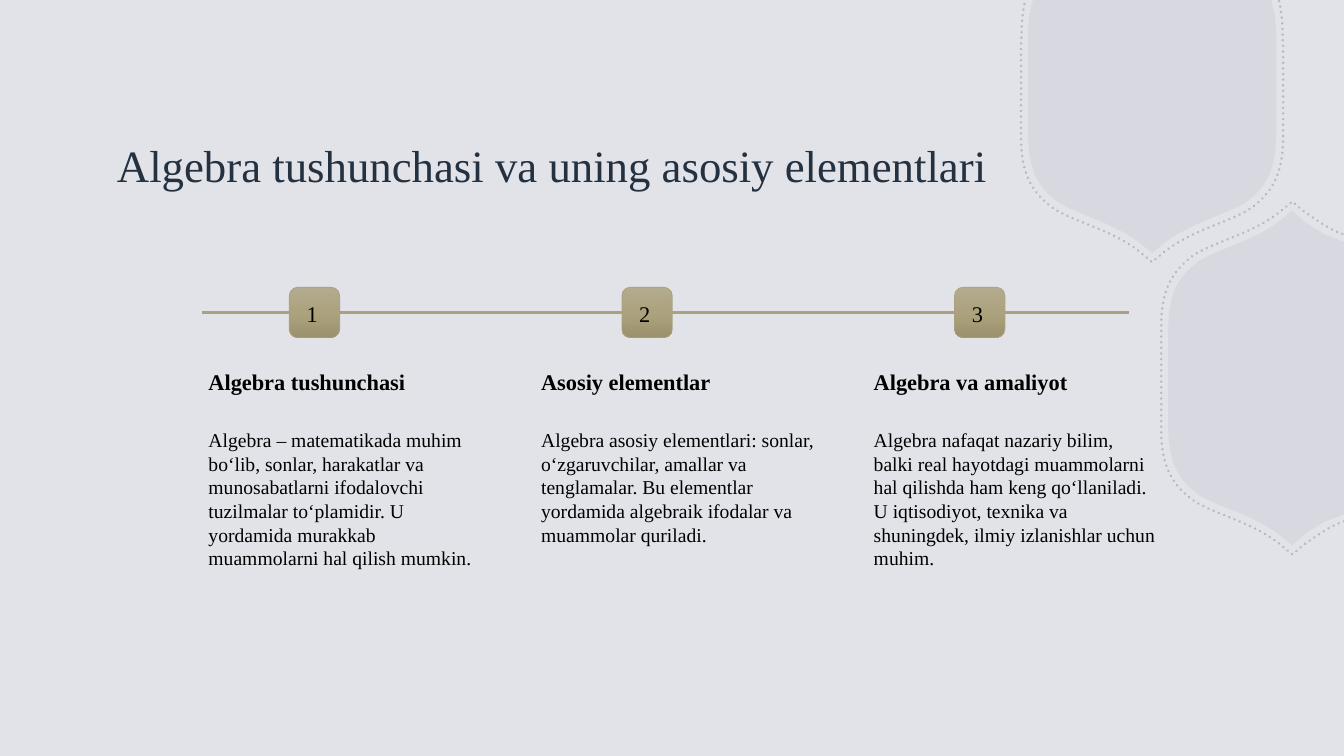
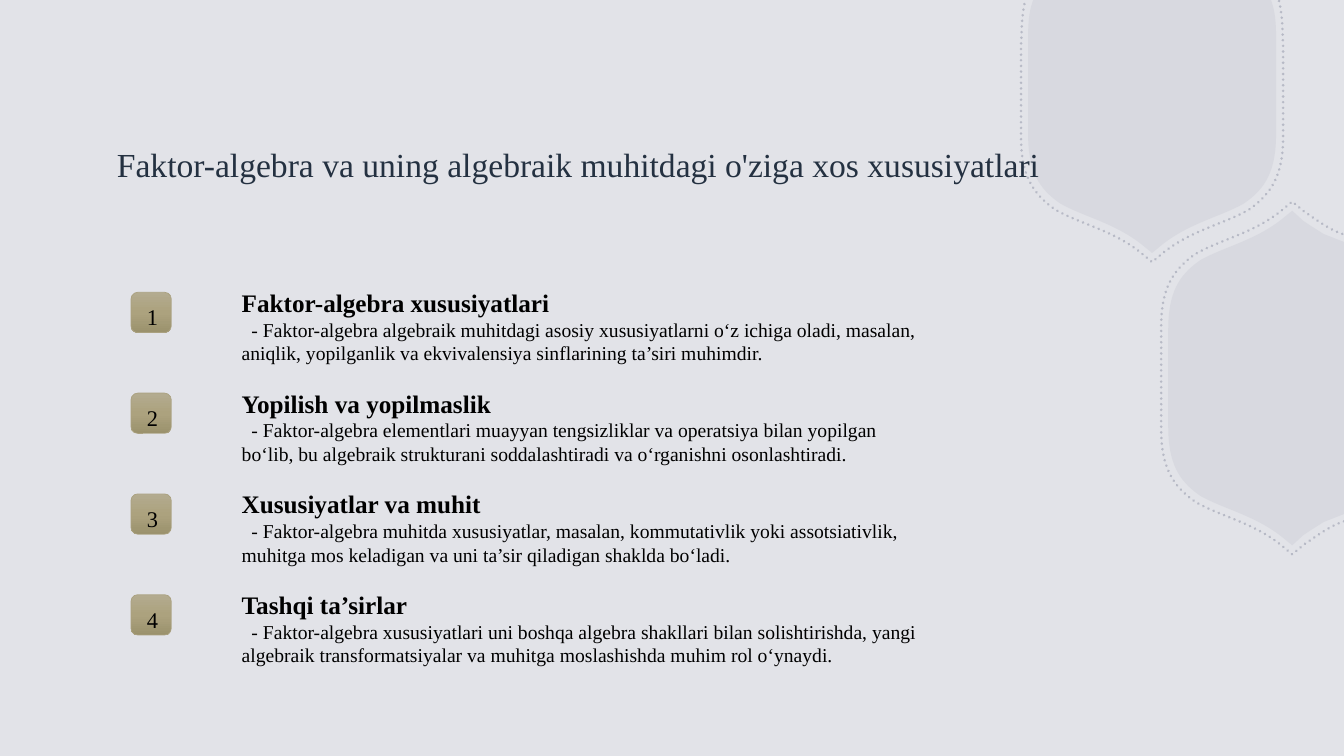
"""Build two algebra slides: a three-step timeline and a numbered list of four properties."""
from lxml.etree import SubElement
from pptx import Presentation
from pptx.dml.color import RGBColor
from pptx.enum.dml import MSO_LINE
from pptx.enum.shapes import MSO_CONNECTOR, MSO_SHAPE
from pptx.enum.text import MSO_ANCHOR, MSO_AUTO_SIZE, PP_ALIGN
from pptx.oxml.ns import qn
from pptx.util import Pt

PX = 3048
WIDTH, HEIGHT = 4000, 2250
FONT = "Times New Roman"
COLORS = {
    "background": "E2E3E8",
    "ornament": "A2A5B5",
    "title": "243141",
    "text": "000000",
    "rule": "AAA180",
}
TILE_STOPS = {0: "B3AB8F", 50: "ACA27E", 100: "9B926D"}


def write(frame, text, size, color="text", bold=False, indent=0):
    paragraph = frame.paragraphs[0]
    paragraph.text = text
    paragraph.alignment = PP_ALIGN.LEFT
    if indent:
        paragraph._p.get_or_add_pPr().set("indent", str(indent * PX))
    font = paragraph.runs[0].font
    for name, value in {"name": FONT, "size": Pt(size), "bold": bold}.items():
        setattr(font, name, value)
    font.color.rgb = RGBColor.from_string(COLORS[color])


def add_label(slide, text, box, size, bold=False, indent=0):
    frame = slide.shapes.add_textbox(*(value * PX for value in box)).text_frame
    for name, value in {"word_wrap": True, "auto_size": MSO_AUTO_SIZE.SHAPE_TO_FIT_TEXT}.items():
        setattr(frame, name, value)
    write(frame, text, size, bold=bold, indent=indent)


deck = Presentation()
deck.slide_width, deck.slide_height = WIDTH * PX, HEIGHT * PX
layout = deck.slide_layouts[5]
layout.background.fill.solid()
layout.background.fill.fore_color.rgb = RGBColor.from_string(COLORS["background"])
title_area, *footers = layout.placeholders
for footer in footers:
    layout.shapes.element.remove(footer.element)
for name, value in {"left": 318, "top": 315, "width": 2979, "height": 348}.items():
    setattr(title_area, name, value * PX)
title_area.text_frame.vertical_anchor = MSO_ANCHOR.MIDDLE

timeline_slide = deck.slides.add_slide(layout)
list_slide = deck.slides.add_slide(layout)
titles = [
    (timeline_slide, "Algebra tushunchasi va uning asosiy elementlari", 32),
    (list_slide, "Faktor-algebra va uning algebraik muhitdagi o'ziga xos xususiyatlari", 24),
]
for slide, text, size in titles:
    write(slide.shapes.title.text_frame, text, size, "title")

panel_quarter = [(369, 144), (369, 252), (339, 306), (273, 351),
                 (204, 390), (114, 408), (33, 471), (0, 498)]
outline_quarter = [(390, 153), (390, 264), (357, 321), (288, 369),
                   (216, 411), (120, 429), (36, 495), (0, 525)]
upper_center, lower_center = (3429, 255), (3846, 1125)
ornaments = [
    (upper_center, panel_quarter, "LC",
     [(354, -255), (357, -246), (366, -219), (369, -186), (369, -147)]),
    (lower_center, panel_quarter, "LC",
     [(154, 405), (93, 429), (75, 441), (54, 453), (33, 468)]),
    (upper_center, outline_quarter, "C",
     [(378, -252), (390, -198), (387, -165), (390, -123)]),
    (lower_center, outline_quarter, "C",
     [(154, 427), (108, 441), (60, 480), (36, 495)]),
]
for ornament_id, (center, quarter, edge_kinds, edge) in enumerate(ornaments, 20):
    is_panel = quarter is panel_quarter
    if center == upper_center:
        half, kinds, flip = edge + quarter, edge_kinds + "LCCL", (-1, 1)
    else:
        turned = [(-x, y) for x, y in reversed(quarter)]
        half, kinds, flip = edge + turned, edge_kinds + "LLCC", (1, -1)
    reflected = [(x * flip[0], y * flip[1]) for x, y in reversed(half)]
    meets = half[-1] == reflected[0]
    points = [(center[0] + x, center[1] + y) for x, y in half + reflected[meets:]]
    kinds += ("" if meets else "L") + kinds[::-1]

    builder = timeline_slide.shapes.build_freeform(*points[0], scale=PX)
    builder.add_line_segments(points[1:], close=is_panel)
    ornament = builder.convert_to_shape()
    ornament.shadow.inherit = False
    segments = iter(ornament.element.spPr.findall(".//" + qn("a:lnTo")))
    for kind in kinds:
        segment = next(segments)
        if kind == "C":
            track = segment.getparent()
            curve = SubElement(track, qn("a:cubicBezTo"))
            segment.addprevious(curve)
            for corner in (segment, next(segments), next(segments)):
                curve.append(corner[0])
                track.remove(corner)

    if is_panel:
        ornament.line.fill.background()
        paint, opacity = ornament.fill, 15
    else:
        ornament.fill.background()
        ornament.line.width = Pt(2)
        paint, opacity = ornament.line.fill, 65
    paint.solid()
    paint.fore_color.rgb = RGBColor.from_string(COLORS["ornament"])
    if not is_panel:
        ornament.line.dash_style = MSO_LINE.ROUND_DOT
        ornament.element.spPr.find(qn("a:ln")).set("cap", "rnd")
    tint = ornament.element.spPr.find(".//" + qn("a:srgbClr"))
    SubElement(tint, qn("a:alpha"), val=str(opacity * 1000))
    ornament.element.nvSpPr.cNvPr.set("id", str(ornament_id))
    layout.shapes.element.append(ornament.element)

axis_line = timeline_slide.shapes.add_connector(
    MSO_CONNECTOR.STRAIGHT, 600 * PX, 930 * PX, 3360 * PX, 930 * PX)
axis_line.line.color.rgb = RGBColor.from_string(COLORS["rule"])
axis_line.line.width = Pt(2)
SubElement(axis_line.element.spPr, qn("a:effectLst"))

steps = [
    ("Algebra tushunchasi", "Algebra – matematikada muhim bo‘lib, sonlar, harakatlar va munosabatlarni ifodalovchi tuzilmalar to‘plamidir. U yordamida murakkab muammolarni hal qilish mumkin."),
    ("Asosiy elementlar", "Algebra asosiy elementlari: sonlar, o‘zgaruvchilar, amallar va tenglamalar. Bu elementlar yordamida algebraik ifodalar va muammolar quriladi."),
    ("Algebra va amaliyot", "Algebra nafaqat nazariy bilim, balki real hayotdagi muammolarni hal qilishda ham keng qo‘llaniladi. U iqtisodiyot, texnika va shuningdek, ilmiy izlanishlar uchun muhim."),
]
properties = [
    ("Faktor-algebra xususiyatlari", "- Faktor-algebra algebraik muhitdagi asosiy xususiyatlarni o‘z ichiga oladi, masalan, aniqlik, yopilganlik va ekvivalensiya sinflarining ta’siri muhimdir."),
    ("Yopilish va yopilmaslik", "- Faktor-algebra elementlari muayyan tengsizliklar va operatsiya bilan yopilgan bo‘lib, bu algebraik strukturani soddalashtiradi va o‘rganishni osonlashtiradi."),
    ("Xususiyatlar va muhit", "- Faktor-algebra muhitda xususiyatlar, masalan, kommutativlik yoki assotsiativlik, muhitga mos keladigan va uni ta’sir qiladigan shaklda bo‘ladi."),
    ("Tashqi ta’sirlar", "- Faktor-algebra xususiyatlari uni boshqa algebra shakllari bilan solishtirishda, yangi algebraik transformatsiyalar va muhitga moslashishda muhim rol o‘ynaydi."),
]

entries = []
for index, texts in enumerate(steps):
    left = 591 + index * 990
    entries.append((timeline_slide, index + 1, texts, (left + 270, 855, 150),
                    (left, 1080, 810, 90), (left, 1260, 900, 600), 16, 0))
for index, texts in enumerate(properties):
    top = 840 + index * 300
    entries.append((list_slide, index + 1, texts, (390, top + 30, 120),
                    (690, top, 2100, 90), (690, top + 90, 2100, 300), 18, 29))

for slide, number, texts, square, heading_box, body_box, heading_size, indent in entries:
    left, top, side = square
    tile = slide.shapes.add_shape(
        MSO_SHAPE.ROUNDED_RECTANGLE, left * PX, top * PX, side * PX, side * PX)
    tile.shadow.inherit = False
    tile.fill.gradient()
    tile.fill.gradient_angle = 270
    stops = tile.element.spPr.find(".//" + qn("a:gsLst"))
    for stop in list(stops):
        stops.remove(stop)
    for position, color in TILE_STOPS.items():
        stop = SubElement(stops, qn("a:gs"), pos=str(position * 1000))
        SubElement(stop, qn("a:srgbClr"), val=color)
    tile.line.color.rgb = RGBColor.from_string(COLORS["rule"])
    tile.line.width = Pt(0.5)

    number_side = side * 7 // 10
    inset = (side - number_side) // 2
    add_label(slide, str(number), (left + inset, top + inset, number_side, number_side), 16)
    heading, explanation = texts
    add_label(slide, heading, heading_box, heading_size, bold=True)
    add_label(slide, explanation, body_box, 14, indent=indent)

deck.save("out.pptx")
